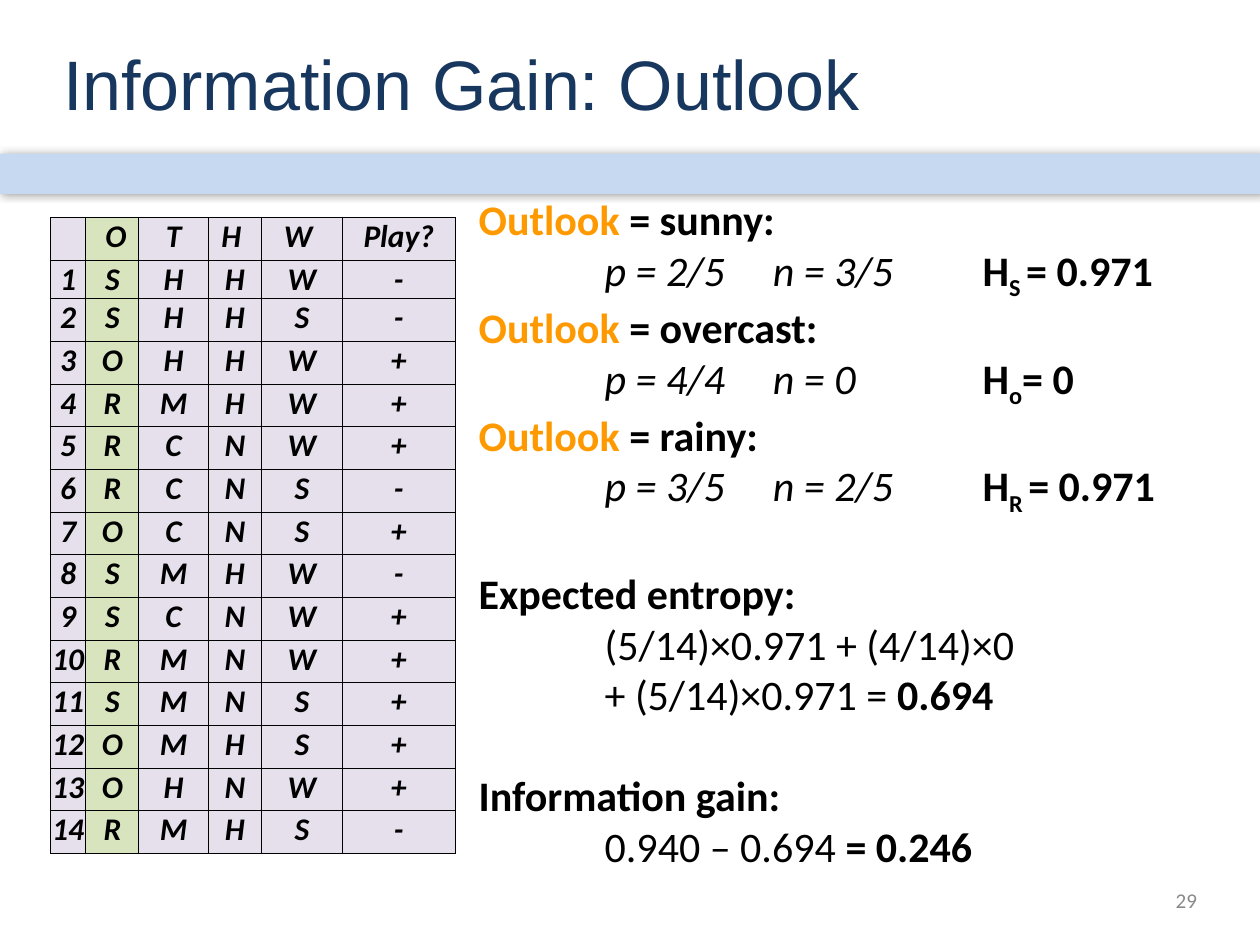
from dataclasses import dataclass

from pptx import Presentation
from pptx.dml.color import RGBColor as Rgb
from pptx.enum.shapes import MSO_SHAPE as Preset
from pptx.enum.text import MSO_ANCHOR as Anchor, PP_ALIGN as Align
from pptx.oxml import parse_xml
from pptx.oxml.ns import nsdecls, qn
from pptx.util import Cm, Pt
from lxml.etree import SubElement


@dataclass(frozen=True)
class Theme:
    """Colours, fonts and type sizes."""
    title: str = "17375E"
    bar: str = "C6D9F1"
    text: str = "000000"
    accent: str = "FF9900"
    muted: str = "898989"
    cell: str = "E6E0EC"
    highlight: str = "D7E4BD"
    heading_font: str = "Arial"
    body_font: str = "Calibri"
    title_size: int = 40
    body_size: int = 24
    table_size: int = 18
    number_size: int = 12


HEADER = ["", " O", "T", "H ", "W ", "Play?"]
DAYS = ["SHHW-", "SHHS-", "OHHW+", "RMHW+", "RCNW+", "RCNS-", "OCNS+",
        "SMHW-", "SCNW+", "RMNW+", "SMNS+", "OMHS+", "OHNW+", "RMHS-"]
COLUMN_WIDTHS = [0.71, 1.07, 1.4, 1.07, 1.63, 2.28]
TAB_STOPS = [2.54, 5.93, 10.16]
OUTLOOKS = [("sunny", "2/5", "3/5", "S ", "= 0.971"),
            ("overcast", "4/4", "0", "o", "= 0"),
            ("rainy", "3/5", "2/5", "R ", "= 0.971")]
RESULTS = [
    (True, [("Expected entropy:", "bold")]),
    (False, [("\t(5/14)×0.971 + (4/14)×0", "plain")]),
    (False, [("\t+ (5/14)×0.971 = ", "plain"), ("0.694", "bold")]),
    (True, [("Information gain:", "bold")]),
    (False, [("\t0.940 – 0.694 ", "plain"), ("= 0.246", "bold")]),
]


class SlideBuilder:
    """Holds the theme and the current page."""

    def __init__(self, theme, page):
        self.theme = theme
        self.page = page

    def format_font(self, font, size, color, name=None):
        """Apply size, colour and typeface to a font."""
        font.size = Pt(size)
        font.color.rgb = Rgb.from_string(color)
        font.name = name or self.theme.body_font

    def clear_insets(self, frame):
        """Wrap the text and remove the inner margins."""
        frame.word_wrap = True
        frame.margin_left = frame.margin_right = 0
        frame.margin_top = frame.margin_bottom = 0

    def text_box(self, left, top, width, height):
        """Add an empty text box and return its frame."""
        box = self.page.shapes.add_textbox(Cm(left), Cm(top), Cm(width), Cm(height))
        self.clear_insets(box.text_frame)
        return box.text_frame

    def title(self, text):
        """Place and format the title placeholder."""
        title = self.page.shapes.title
        title.left, title.top = Cm(1.27), Cm(0.08)
        title.width, title.height = Cm(22.86), Cm(3.18)
        frame = title.text_frame
        self.clear_insets(frame)
        frame.vertical_anchor = Anchor.MIDDLE
        frame.text = text
        para = frame.paragraphs[0]
        para.alignment = Align.LEFT
        self.format_font(para.font, self.theme.title_size, self.theme.title,
                         self.theme.heading_font)

    def bar(self):
        """Add the shadowed band below the title."""
        bar = self.page.shapes.add_shape(Preset.RECTANGLE, 0, Cm(3.1), Cm(25.4), Cm(0.81))
        bar.fill.solid()
        bar.fill.fore_color.rgb = Rgb.from_string(self.theme.bar)
        bar.line.fill.background()
        bar.shadow.inherit = False
        effects = bar._element.spPr.find(qn("a:effectLst"))
        effects.append(parse_xml(
            f'<a:outerShdw {nsdecls("a")} blurRad="{Pt(5)}" dist="{Pt(1.6)}" dir="0">'
            '<a:srgbClr val="000000"><a:alpha val="38000"/></a:srgbClr></a:outerShdw>'))

    def table(self):
        """Add the table of days with the outlook column highlighted."""
        rows = [HEADER] + [[str(day), *values] for day, values in enumerate(DAYS, 1)]
        table = self.page.shapes.add_table(
            len(rows), len(HEADER), Cm(1.02), Cm(4.39),
            Cm(sum(COLUMN_WIDTHS)), Cm(12.8)).table
        table.first_row = table.horz_banding = False
        for column, width in zip(table.columns, COLUMN_WIDTHS):
            column.width = Cm(width)
        for r, values in enumerate(rows):
            table.rows[r].height = Cm(0.76 if r == 1 else 0.86)
            for c, value in enumerate(values):
                self.cell(table.cell(r, c), value,
                          self.theme.highlight if c == 1 else self.theme.cell)

    def cell(self, cell, value, fill):
        """Fill, border and write one table cell."""
        for side in "LRTB":
            cell._tc.get_or_add_tcPr().append(parse_xml(
                f'<a:ln{side} {nsdecls("a")} w="{Pt(0.75)}"><a:solidFill>'
                f'<a:srgbClr val="{self.theme.text}"/></a:solidFill></a:ln{side}>'))
        cell.fill.solid()
        cell.fill.fore_color.rgb = Rgb.from_string(fill)
        cell.margin_left = cell.margin_right = 0
        cell.margin_top = cell.margin_bottom = 0
        cell.text = value
        para = cell.text_frame.paragraphs[0]
        para.alignment = Align.CENTER
        self.format_font(para.font, self.theme.table_size, self.theme.text)
        para.font.bold = para.font.italic = True

    def span(self, para, text, style):
        """Add a run in one of the calculation styles."""
        span = para.add_run()
        span.text = text
        color = self.theme.accent if style == "accent" else self.theme.text
        self.format_font(span.font, self.theme.body_size, color)
        span.font.bold = style in ("accent", "bold", "sub")
        span.font.italic = style == "italic"
        if style == "sub":
            span._r.get_or_add_rPr().set("baseline", "-25000")

    def calculation(self, lines):
        """Write the lines of the calculation on shared tab stops."""
        frame = self.text_box(9.65, 3.91, 14.15, 15)
        for index, (gap, spans) in enumerate(lines):
            para = frame.add_paragraph() if index else frame.paragraphs[0]
            stops = SubElement(para._p.get_or_add_pPr(), qn("a:tabLst"))
            for stop in TAB_STOPS:
                SubElement(stops, qn("a:tab"), pos=str(Cm(stop)), algn="l")
            if gap:
                para.space_before = Pt(29)
            for text, style in spans:
                self.span(para, text, style)

    def page_number(self, number):
        """Add the page number at the lower right."""
        frame = self.text_box(18.21, 17.78, 5.92, 0.74)
        frame.vertical_anchor = Anchor.MIDDLE
        frame.text = number
        para = frame.paragraphs[0]
        para.alignment = Align.RIGHT
        self.format_font(para.font, self.theme.number_size, self.theme.muted)


def outlook_lines():
    """Return the two lines for each value of the outlook."""
    lines = []
    for value, p, n, letter, entropy in OUTLOOKS:
        lines.append((False, [("Outlook", "accent"), (f" = {value}:", "bold")]))
        lines.append((False, [(f"\tp = {p}\tn = {n}\t", "italic"), ("H", "bold"),
                              (letter, "sub"), (entropy, "bold")]))
    return lines


def main():
    """Build and save the deck."""
    deck = Presentation()
    deck.slide_width, deck.slide_height = Cm(25.4), Cm(19.05)
    page = deck.slides.add_slide(deck.slide_layouts[5])
    builder = SlideBuilder(Theme(), page)
    builder.bar()
    builder.title("Information Gain: Outlook")
    builder.table()
    builder.page_number("29")
    builder.calculation(outlook_lines() + RESULTS)
    deck.save("out.pptx")


if __name__ == "__main__":
    main()
